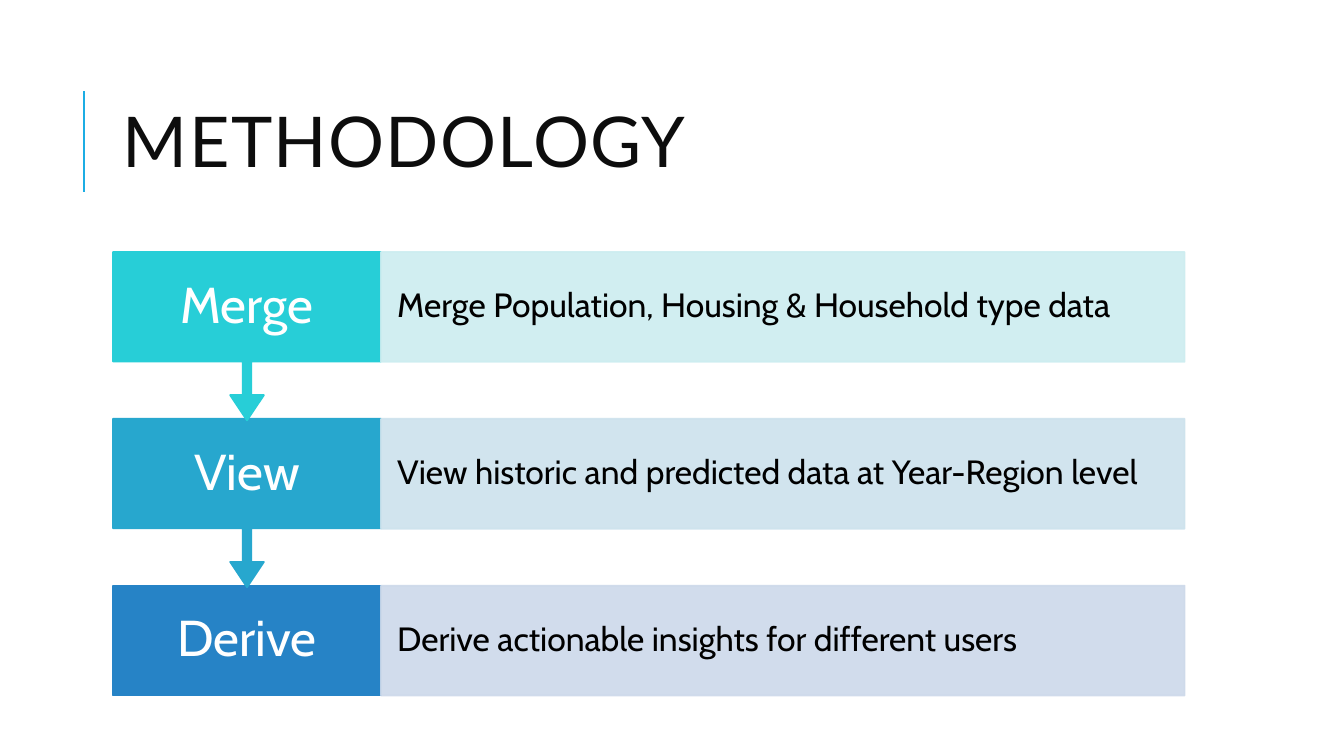
from dataclasses import dataclass

from lxml import etree
from pptx import Presentation
from pptx.dml.color import RGBColor
from pptx.enum import shapes, text
from pptx.oxml import ns
from pptx.util import Inches, Pt


@dataclass(frozen=True)
class Theme:
    title_font: str = "Lato"
    body_font: str = "Cabin"
    title_size: int = 50
    label_size: int = 36
    detail_size: int = 24
    title_color: str = "0D0D0D"
    label_color: str = "FFFFFF"
    detail_color: str = "000000"
    accent: str = "1CADE4"
    outline: float = 1.25
    panel_opacity: int = 90


THEME = Theme()

# label, detail, label colour, panel colour
STEPS = [
    ("Merge", "Merge Population, Housing & Household type data", "27CED7", "CDEDF0"),
    ("View", "View historic and predicted data at Year-Region level", "27A7CE", "CDE2ED"),
    ("Derive", "Derive actionable insights for different users", "2683C6", "CDD9EA"),
]

LEFT, TOP = 1.12, 2.5
LABEL_WIDTH, PANEL_WIDTH = 2.66, 7.97
STEP_HEIGHT, CALLOUT_HEIGHT, PITCH = 1.09, 1.67, 1.655
CALLOUT_ADJUSTMENTS = (0.05, 0.1, 0.15, 0.65)


def box(left, top, width, height):
    return [Inches(value) for value in (left, top, width, height)]


def write(shape, wording, font, size, color, align=text.PP_ALIGN.LEFT,
          line_spacing=0.9, inset=(0.1, 0.05)):
    """Put one vertically centred line in a shape and return its run."""
    frame = shape.text_frame
    frame.text = wording
    frame.word_wrap = True
    frame.vertical_anchor = text.MSO_ANCHOR.MIDDLE
    frame.margin_left = frame.margin_right = Inches(inset[0])
    frame.margin_top = frame.margin_bottom = Inches(inset[1])
    paragraph = frame.paragraphs[0]
    paragraph.alignment = align
    paragraph.line_spacing = line_spacing
    run = paragraph.runs[0]
    run.font.name = font
    run.font.size = Pt(size)
    run.font.color.rgb = RGBColor.from_string(color)
    return run


def add_block(slide, preset, bounds, color, opacity=100):
    block = slide.shapes.add_shape(preset, *box(*bounds))
    block.shadow.inherit = False
    block.fill.solid()
    block.line.width = Pt(THEME.outline)
    for paint in (block.fill.fore_color, block.line.color):
        paint.rgb = RGBColor.from_string(color)
    if opacity < 100:
        for tint in block._element.spPr.iter(ns.qn("a:srgbClr")):
            etree.SubElement(tint, ns.qn("a:alpha"), val=str(opacity * 1000))
    return block


def add_title(slide, wording):
    rule = slide.shapes.add_connector(
        shapes.MSO_CONNECTOR.STRAIGHT, *box(0.83, 1.9, 0.83, 0.9))
    rule.line.color.rgb = RGBColor.from_string(THEME.accent)
    rule.line.width = Pt(1.5)
    etree.SubElement(rule._element.spPr, ns.qn("a:effectLst"))

    title = slide.shapes.add_textbox(*box(LEFT, 0.64, 10.63, 1.64))
    run = write(title, wording, THEME.title_font, THEME.title_size,
                THEME.title_color, line_spacing=0.8)
    run.font._element.set("spc", "100")


def add_step(slide, top, label, detail, color, panel_color, leads_on):
    """Draw a step; one that leads on has an arrow down to the next."""
    if leads_on:
        callout = add_block(slide, shapes.MSO_SHAPE.UP_ARROW_CALLOUT,
                            (LEFT, top, LABEL_WIDTH, CALLOUT_HEIGHT), color)
        callout.rotation = 180
        for index, value in enumerate(CALLOUT_ADJUSTMENTS):
            callout.adjustments[index] = value
    else:
        add_block(slide, shapes.MSO_SHAPE.RECTANGLE,
                  (LEFT, top, LABEL_WIDTH, STEP_HEIGHT), color)

    # The callout is upside down, so its label stands in a box of its own.
    heading = slide.shapes.add_textbox(*box(LEFT, top, LABEL_WIDTH, STEP_HEIGHT))
    write(heading, label, THEME.body_font, THEME.label_size, THEME.label_color,
          align=text.PP_ALIGN.CENTER, inset=(0.19, 0.28))

    panel = add_block(slide, shapes.MSO_SHAPE.RECTANGLE,
                      (LEFT + LABEL_WIDTH, top, PANEL_WIDTH, STEP_HEIGHT),
                      panel_color, THEME.panel_opacity)
    write(panel, detail, THEME.body_font, THEME.detail_size, THEME.detail_color,
          inset=(0.16, 0.33))


def main():
    deck = Presentation()
    deck.slide_width, deck.slide_height = Inches(13.33), Inches(7.5)
    slide = deck.slides.add_slide(deck.slide_layouts[6])

    add_title(slide, "METHODOLOGY")
    last = len(STEPS) - 1
    # From the bottom up, so that each arrow tip lies over the next step.
    for index, step in reversed(list(enumerate(STEPS))):
        add_step(slide, TOP + index * PITCH, *step, leads_on=index < last)

    deck.save("out.pptx")


if __name__ == "__main__":
    main()
